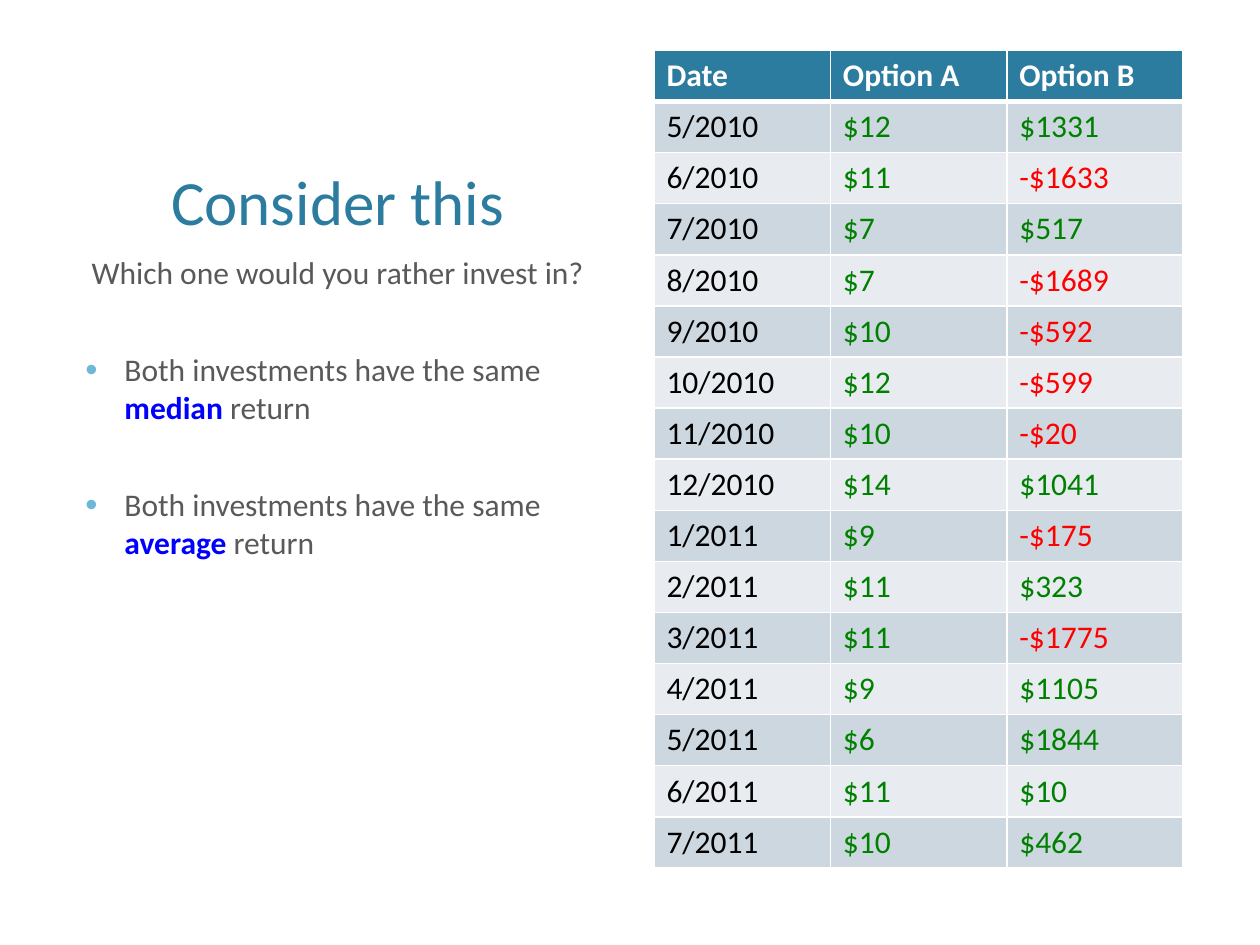
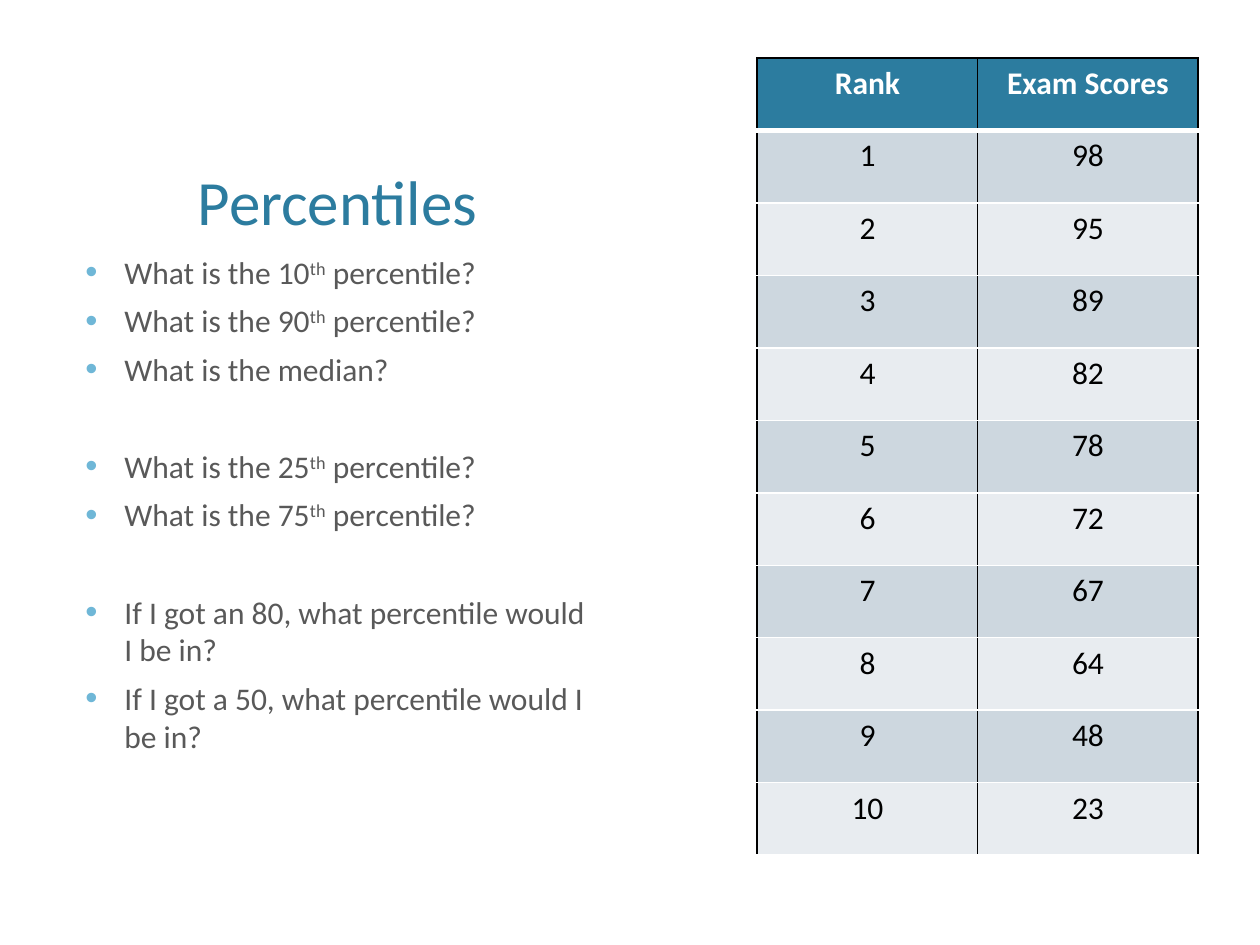
import pptx
import pptx.dml.color
import pptx.enum.text
import pptx.oxml
import pptx.oxml.ns
import pptx.util

FONT = "Calibri"
TEAL, BULLET_BLUE, KEYWORD_BLUE = "2C7C9F", "6FB7D7", "0000FF"
GREY, BLACK, WHITE = "595959", "000000", "FFFFFF"
GAIN_GREEN, LOSS_RED = "008000", "FF0000"
BANDS = ["E8ECF0", "CDD7DF"]
CENTER = pptx.enum.text.PP_ALIGN.CENTER
LEFT = pptx.enum.text.PP_ALIGN.LEFT
SPACING, GROUP_SPACING = 6, 34  # points before a paragraph, and before a new group

# The grid has 100 columns and 75 rows
presentation = pptx.Presentation()
presentation.slide_width = pptx.util.Inches(10)
presentation.slide_height = pptx.util.Inches(7.5)
UNIT = presentation.slide_width // 100
TEXT_LEFT, TEXT_WIDTH = 5.8, 42
TITLE_TOP, TITLE_HEIGHT = 6.7, 12.7
BODY_TOP, BODY_HEIGHT = 19.6, 40.7


def rgb(value):
    return pptx.dml.color.RGBColor.from_string(value)


def add_run(paragraph, text, size, color, bold=False):
    run = paragraph.add_run()
    run.text = text
    run.font.name = FONT
    run.font.size = pptx.util.Pt(size)
    run.font.bold = bold
    run.font.color.rgb = rgb(color)
    return run


investment_returns = [
    ("Date", "Option A", "Option B"),
    ("5/2010", "$12", "$1331"),
    ("6/2010", "$11", "-$1633"),
    ("7/2010", "$7", "$517"),
    ("8/2010", "$7", "-$1689"),
    ("9/2010", "$10", "-$592"),
    ("10/2010", "$12", "-$599"),
    ("11/2010", "$10", "-$20"),
    ("12/2010", "$14", "$1041"),
    ("1/2011", "$9", "-$175"),
    ("2/2011", "$11", "$323"),
    ("3/2011", "$11", "-$1775"),
    ("4/2011", "$9", "$1105"),
    ("5/2011", "$6", "$1844"),
    ("6/2011", "$11", "$10"),
    ("7/2011", "$10", "$462"),
]
scores = [98, 95, 89, 82, 78, 72, 67, 64, 48, 23]
exam_ranking = [("Rank", "Exam Scores")]
exam_ranking += [(str(rank), str(score)) for rank, score in enumerate(scores, 1)]

# Body paragraphs: (bulleted, points before, [(text, style), ...])
investment_body = [(False, SPACING, [("Which one would you rather invest in?", "plain")])]
for measure in ("median ", "average "):
    investment_body.append((True, GROUP_SPACING, [
        ("Both investments have the same ", "plain"), (measure, "keyword"), ("return", "plain")]))

percentile_body = []
for number, spacing in ((10, SPACING), (90, SPACING), (25, GROUP_SPACING), (75, SPACING)):
    percentile_body.append((True, spacing, [
        (f"What is the {number}", "plain"), ("th", "superscript"), (" percentile?", "plain")]))
percentile_body.insert(2, (True, SPACING, [("What is the median?", "plain")]))
for score, spacing in (("an 80", GROUP_SPACING), ("a 50", SPACING)):
    percentile_body.append((True, spacing, [
        (f"If I got {score}, what percentile would I be in?", "plain")]))

slides = [
    {"title": "Consider this", "body": investment_body, "rows": investment_returns,
     "table": (51.9, 4, 42, 64.9), "align": LEFT, "side_border": WHITE},
    {"title": "Percentiles", "body": percentile_body, "rows": exam_ranking,
     "table": (60.1, 4.6, 35, 63.3), "align": CENTER, "side_border": BLACK},
]

for content in slides:
    slide = presentation.slides.add_slide(presentation.slide_layouts[6])

    # Title
    title_box = slide.shapes.add_textbox(*[
        round(n * UNIT) for n in (TEXT_LEFT, TITLE_TOP, TEXT_WIDTH, TITLE_HEIGHT)])
    title_box.text_frame.word_wrap = True
    title_box.text_frame.vertical_anchor = pptx.enum.text.MSO_ANCHOR.BOTTOM
    paragraph = title_box.text_frame.paragraphs[0]
    paragraph.alignment = CENTER
    add_run(paragraph, content["title"], 36, TEAL)

    # Table
    rows = content["rows"]
    left, top, width, height = [round(n * UNIT) for n in content["table"]]
    table = slide.shapes.add_table(len(rows), len(rows[0]), left, top, width, height).table
    for row_index, row in enumerate(rows):
        header = row_index == 0
        table.rows[row_index].height = height // len(rows)
        side = content["side_border"]
        borders = {
            "lnL": (side, 1),
            "lnR": (side, 1),
            "lnT": (side, 1) if header else (WHITE, 3 if row_index == 1 else 1),
            "lnB": (WHITE, 3 if header else 1),
        }
        for column_index, text in enumerate(row):
            cell = table.cell(row_index, column_index)
            properties = cell._tc.get_or_add_tcPr()
            for tag, (color, points) in borders.items():
                properties.append(pptx.oxml.parse_xml(
                    f'<a:{tag} {pptx.oxml.ns.nsdecls("a")} w="{points * 12700}">'
                    f'<a:solidFill><a:srgbClr val="{color}"/></a:solidFill></a:{tag}>'))
            cell.fill.solid()
            cell.fill.fore_color.rgb = rgb(TEAL if header else BANDS[row_index % 2])
            if header:
                text_color = WHITE
            elif text.startswith("-"):
                text_color = LOSS_RED
            else:
                text_color = GAIN_GREEN if text.startswith("$") else BLACK
            paragraph = cell.text_frame.paragraphs[0]
            paragraph.alignment = content["align"]
            add_run(paragraph, text, 18, text_color, bold=header)

    # Body
    body_box = slide.shapes.add_textbox(*[
        round(n * UNIT) for n in (TEXT_LEFT, BODY_TOP, TEXT_WIDTH, BODY_HEIGHT)])
    frame = body_box.text_frame
    frame.word_wrap = True
    for index, (bulleted, spacing, runs) in enumerate(content["body"]):
        paragraph = frame.add_paragraph() if index else frame.paragraphs[0]
        paragraph.space_before = pptx.util.Pt(spacing)
        paragraph.alignment = LEFT if bulleted else CENTER
        if bulleted:
            properties = paragraph._p.get_or_add_pPr()
            indent = round(3.1 * UNIT)
            properties.set("marL", str(indent))
            properties.set("indent", str(-indent))
            for bullet_part in (
                f'buClr {pptx.oxml.ns.nsdecls("a")}><a:srgbClr val="{BULLET_BLUE}"/></a:buClr>',
                f'buSzPct {pptx.oxml.ns.nsdecls("a")} val="110000"/>',
                f'buFont {pptx.oxml.ns.nsdecls("a")} typeface="Arial"/>',
                f'buChar {pptx.oxml.ns.nsdecls("a")} char="•"/>',
            ):
                properties.append(pptx.oxml.parse_xml("<a:" + bullet_part))
        for text, style in runs:
            keyword = style == "keyword"
            run = add_run(paragraph, text, 18, KEYWORD_BLUE if keyword else GREY, bold=keyword)
            if style == "superscript":
                run._r.get_or_add_rPr().set("baseline", "30000")

presentation.save("out.pptx")
